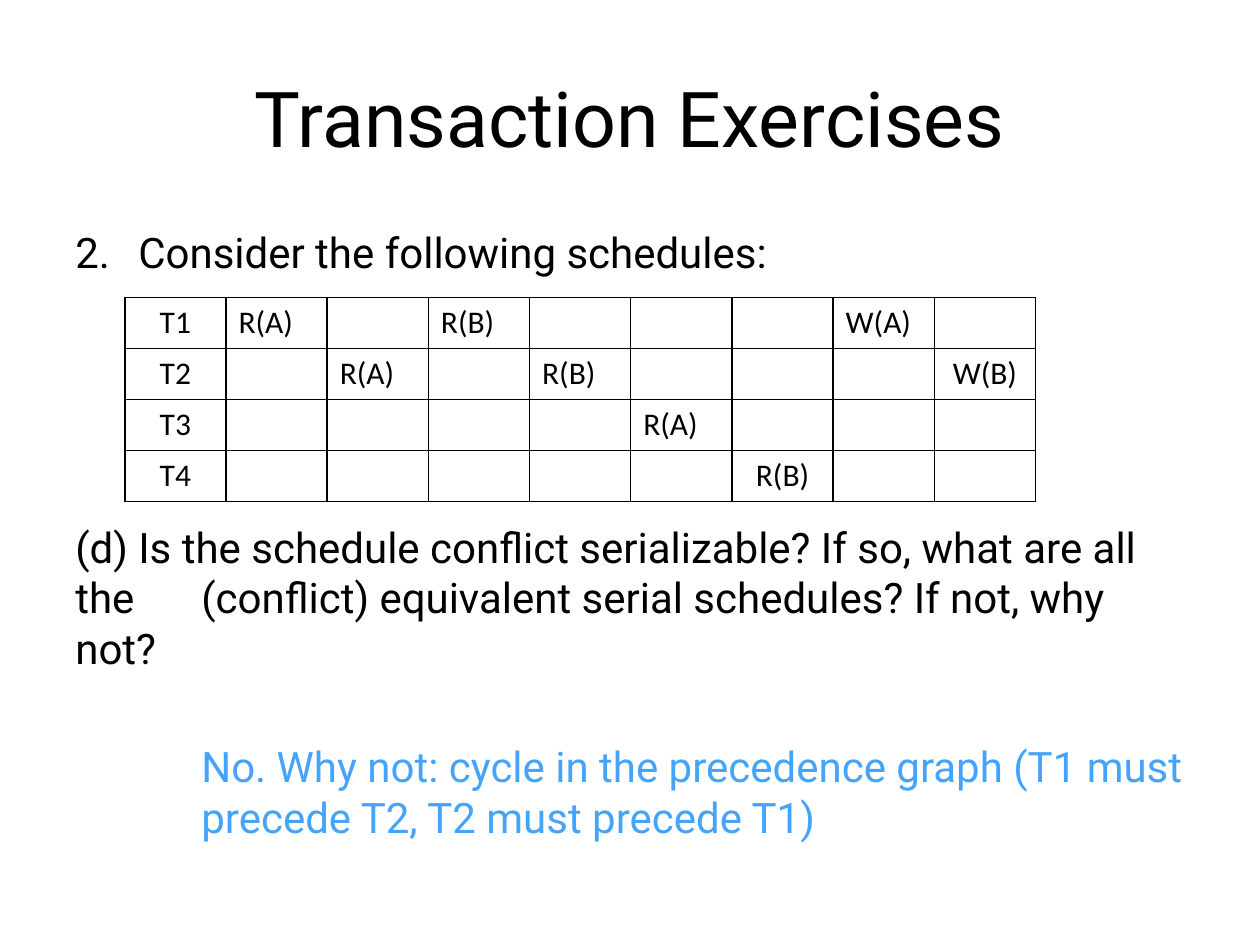
from dataclasses import dataclass

from lxml import etree
from pptx import Presentation
from pptx import util as u
from pptx.dml.color import RGBColor
from pptx.enum import text as t
from pptx.oxml import ns


@dataclass(frozen=True)
class Theme:
    ink: str = "000000"
    blue: str = "45A4FA"
    font: str = "Roboto"
    grid: str = "Calibri"
    title: int = 44
    body: int = 24
    cell: int = 18


@dataclass(frozen=True)
class Note:
    text: str
    left: float
    top: float
    width: float
    height: float
    size: int
    color: str
    align: t.PP_ALIGN = t.PP_ALIGN.LEFT
    anchor: t.MSO_ANCHOR = t.MSO_ANCHOR.TOP


@dataclass(frozen=True)
class Step:
    row: int
    col: int
    text: str
    align: t.PP_ALIGN = t.PP_ALIGN.LEFT


LOOK = Theme()
MID = t.PP_ALIGN.CENTER
ROWS, COLS = 4, 9

TITLE = Note("Transaction Exercises", 0.5, 0.3, 9, 1.25, LOOK.title, LOOK.ink,
             MID, t.MSO_ANCHOR.MIDDLE)
TASK = Note("Consider the following schedules:", 0.5, 1.75, 9, 0.5,
            LOOK.body, LOOK.ink)
QUERY = Note("(d)\tIs the schedule conflict serializable? If so, what are all the "
             "\t(conflict) equivalent serial schedules? If not, why not?",
             0.5, 4.09, 9, 1.3, LOOK.body, LOOK.ink)
REPLY = Note("No. Why not: cycle in the precedence graph (T1 must "
             "precede T2, T2 must precede T1)",
             1.5, 5.83, 8.1, 0.9, LOOK.body, LOOK.blue)

STEPS = [Step(row, 0, f"T{row + 1}", MID) for row in range(ROWS)] + [
    Step(0, 1, "R(A)"),
    Step(1, 2, "R(A)"),
    Step(0, 3, "R(B)"),
    Step(1, 4, "R(B)"),
    Step(2, 5, "R(A)"),
    Step(3, 6, "R(B)", MID),
    Step(0, 7, "W(A)"),
    Step(1, 8, "W(B)", MID),
]


def style(para, font: str, size: int, color: str, align) -> None:
    para.alignment = align
    for run in para.runs:
        run.font.name = font
        run.font.size = u.Pt(size)
        run.font.color.rgb = RGBColor.from_string(color)


def add_note(slide, note: Note):
    box = slide.shapes.add_textbox(*map(
        u.Inches, (note.left, note.top, note.width, note.height)))
    frame = box.text_frame
    frame.word_wrap = True
    frame.vertical_anchor = note.anchor
    para = frame.paragraphs[0]
    para.text = note.text
    style(para, LOOK.font, note.size, note.color, note.align)
    return para


def number(para, start: int) -> None:
    props = para._p.get_or_add_pPr()
    props.set("marL", str(u.Inches(0.5)))
    props.set("indent", str(-u.Inches(0.5)))
    etree.SubElement(props, ns.qn("a:buFont"), typeface=LOOK.font)
    etree.SubElement(props, ns.qn("a:buAutoNum"), type="arabicPeriod",
                     startAt=str(start))


def set_tabs(para, *stops: float) -> None:
    tabs = etree.SubElement(para._p.get_or_add_pPr(), ns.qn("a:tabLst"))
    for stop in stops:
        etree.SubElement(tabs, ns.qn("a:tab"), pos=str(u.Inches(stop)), algn="l")


def border(cell) -> None:
    props = cell._tc.get_or_add_tcPr()
    for place, side in enumerate(("lnL", "lnR", "lnT", "lnB")):
        line = etree.Element(ns.qn(f"a:{side}"), w=str(u.Pt(1)))
        fill = etree.SubElement(line, ns.qn("a:solidFill"))
        etree.SubElement(fill, ns.qn("a:srgbClr"), val=LOOK.ink)
        props.insert(place, line)


def add_grid(slide, steps: list[Step]) -> None:
    table = slide.shapes.add_table(ROWS, COLS, *map(
        u.Inches, (0.99, 2.36, 7.23, 1.62))).table
    table.first_row = False
    table.horz_banding = False
    for cell in table.iter_cells():
        cell.fill.background()
        border(cell)
    for step in steps:
        para = table.cell(step.row, step.col).text_frame.paragraphs[0]
        para.text = step.text
        style(para, LOOK.grid, LOOK.cell, LOOK.ink, step.align)


def main() -> None:
    deck = Presentation()
    deck.slide_width, deck.slide_height = u.Inches(10), u.Inches(7.5)
    slide = deck.slides.add_slide(deck.slide_layouts[6])
    add_note(slide, TITLE)
    number(add_note(slide, TASK), 2)
    set_tabs(add_note(slide, QUERY), 0.5, 1)
    add_note(slide, REPLY)
    add_grid(slide, STEPS)
    deck.save("out.pptx")


if __name__ == "__main__":
    main()
